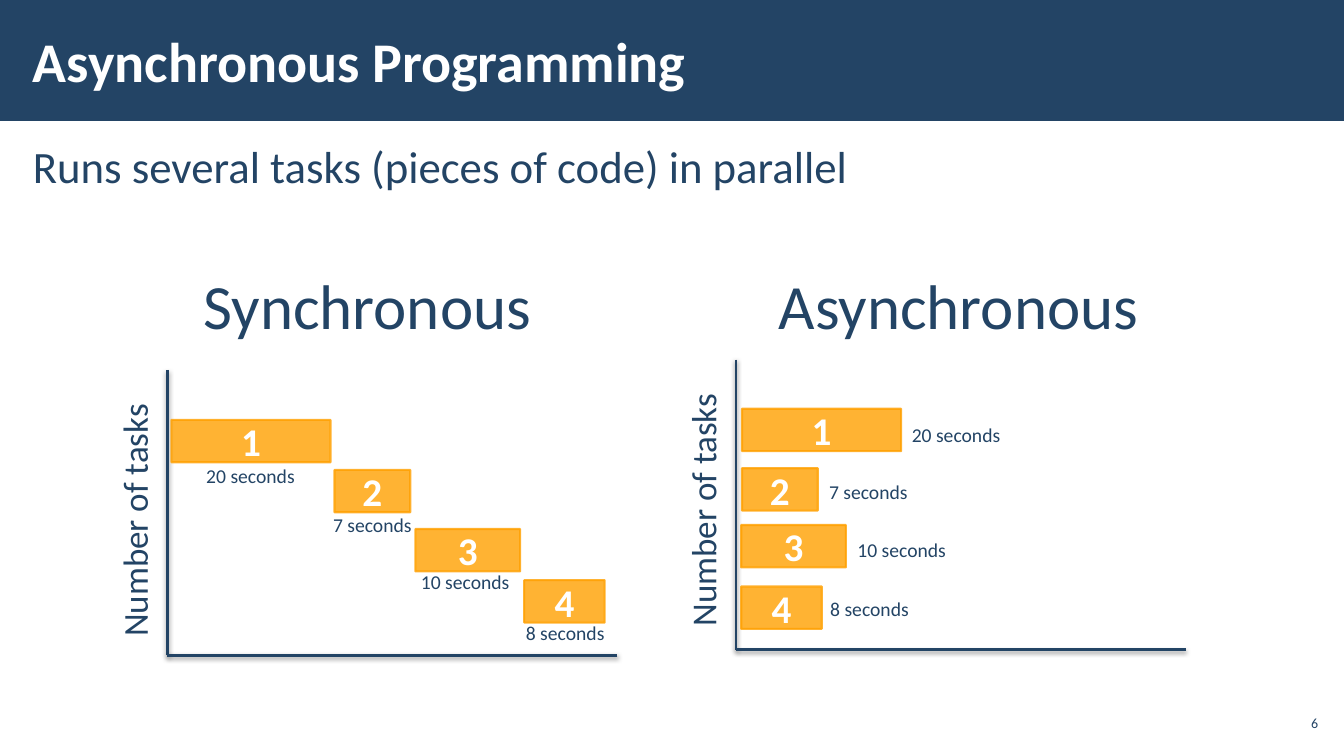
import pptx
import pptx.dml.color
import pptx.enum.shapes
import pptx.enum.text
import pptx.oxml
import pptx.oxml.ns
import pptx.util
from pptx.util import Cm

NAVY, ORANGE, WHITE = "234465", "FFA000", "FFFFFF"
ALIGN = pptx.enum.text.PP_ALIGN
ANCHOR = pptx.enum.text.MSO_ANCHOR

# Task number, duration, bar length
TASKS = [
    ("1", "20 seconds", 4.01),
    ("2", "7 seconds", 1.91),
    ("3", "10 seconds", 2.64),
    ("4", "8 seconds", 2.03),
]
BAR_HEIGHT = 1.07
AXIS_WIDTH = 11.34

# Bar left and top, then label left and top, for each task
SYNCHRONOUS = [
    (4.32, 10.58, 4.83, 11.56),
    (8.43, 11.84, 7.9, 12.8),
    (10.47, 13.33, 10.24, 14.23),
    (13.21, 14.62, 12.76, 15.52),
]
ASYNCHRONOUS = [
    (18.7, 10.3, 22.61, 10.52),
    (18.7, 11.8, 20.4, 11.96),
    (18.68, 13.23, 21.24, 13.44),
    (18.68, 14.78, 20.43, 14.91),
]


def rgb(code):
    return pptx.dml.color.RGBColor.from_string(code)


def write(frame, text, size, color=NAVY, bold=False, align=ALIGN.CENTER):
    frame.word_wrap = True
    para = frame.paragraphs[0]
    para.alignment = align
    span = para.add_run()
    span.text = text
    span.font.name = "Calibri"
    span.font.size = pptx.util.Pt(size)
    span.font.bold = bold
    span.font.color.rgb = rgb(color)


def set_margins(frame, side):
    frame.margin_left = frame.margin_right = Cm(side)
    frame.margin_top = frame.margin_bottom = Cm(0.1)


def add_text(page, place, text, size, align=ALIGN.CENTER):
    box = page.shapes.add_textbox(*map(Cm, place))
    write(box.text_frame, text, size, align=align)
    return box


def add_rectangle(page, place, color):
    box = page.shapes.add_shape(
        pptx.enum.shapes.MSO_SHAPE.RECTANGLE, *map(Cm, place))
    box.shadow.inherit = False
    box.fill.solid()
    box.fill.fore_color.rgb = rgb(color)
    return box


def add_bar(page, place, number):
    bar = add_rectangle(page, place, ORANGE)
    bar.line.color.rgb = rgb(ORANGE)
    bar.line.width = pptx.util.Pt(1.5)
    # Fill and outline are both slightly transparent
    for color in bar.element.spPr.iter(pptx.oxml.ns.qn("a:srgbClr")):
        color.append(pptx.oxml.parse_xml(
            f'<a:alpha {pptx.oxml.ns.nsdecls("a")} val="80000"/>'))
    bar.text_frame.vertical_anchor = ANCHOR.MIDDLE
    write(bar.text_frame, number, 28, WHITE, bold=True)


def add_axis(page, *ends):
    axis = page.shapes.add_connector(
        pptx.enum.shapes.MSO_CONNECTOR.STRAIGHT, *map(Cm, ends))
    axis.line.color.rgb = rgb(NAVY)
    axis.line.width = pptx.util.Pt(2)
    axis.element.spPr.append(pptx.oxml.parse_xml(
        f'<a:effectLst {pptx.oxml.ns.nsdecls("a")}>'
        '<a:outerShdw blurRad="40000" dist="20000" dir="5400000" rotWithShape="0">'
        '<a:srgbClr val="000000"><a:alpha val="38000"/></a:srgbClr>'
        '</a:outerShdw></a:effectLst>'))


def add_axis_label(page, place, text):
    box = add_text(page, place, text, 25)
    # Turn the text to read upwards
    box.element.txBody.bodyPr.set("vert", "vert270")


def add_timeline(page, heading, heading_left, left, top, bottom, places):
    add_axis(page, left, top, left, bottom)
    add_axis(page, left + AXIS_WIDTH, bottom, left, bottom)
    add_text(page, (heading_left, 6.58, 11.23, 2.18), heading, 45)
    # Long enough to hold the label on one line
    add_axis_label(page, (left - 1.5, top + 0.46, 1.57, 6.67), "Number of tasks")
    for (number, duration, length), place in zip(TASKS, places):
        bar_left, bar_top, label_left, label_top = place
        add_bar(page, (bar_left, bar_top, length, BAR_HEIGHT), number)
        add_text(page, (label_left, label_top, 2.97, 0.86), duration, 14)


def add_header(page):
    title = page.shapes.title
    band = add_rectangle(page, (0, 0, 33.87, 3.05), NAVY)
    band.line.fill.background()
    title.element.addprevious(band.element)  # band goes behind the title
    title.left, title.top, title.width, title.height = map(
        Cm, (0.53, 0.28, 26.39, 2.46))
    frame = title.text_frame
    frame.vertical_anchor = ANCHOR.MIDDLE
    set_margins(frame, 0.3)
    write(frame, "Asynchronous Programming", 40, WHITE, True, ALIGN.LEFT)


def main():
    deck = pptx.Presentation()
    deck.slide_width, deck.slide_height = Cm(33.87), Cm(19.05)
    page = deck.slides.add_slide(deck.slide_layouts[5])
    add_header(page)

    # Statement under the header
    statement = add_text(
        page, (0.53, 3.33, 31.6, 14.45),
        "Runs several tasks (pieces of code) in parallel", 32, ALIGN.LEFT)
    set_margins(statement.text_frame, 0.3)
    para = statement.text_frame.paragraphs[0]
    para.line_spacing = 1.05
    para.space_before = para.space_after = pptx.util.Pt(6)

    # The two timelines
    add_timeline(page, "Synchronous", 3.64, 4.22, 9.32, 16.51, SYNCHRONOUS)
    add_timeline(page, "Asynchronous", 18.54, 18.55, 9.06, 16.37, ASYNCHRONOUS)

    # Page number
    number = add_text(page, (32.13, 17.78, 1.19, 0.86), "6", 10, ALIGN.RIGHT)
    number.text_frame.vertical_anchor = ANCHOR.MIDDLE
    set_margins(number.text_frame, 0.1)

    deck.save("out.pptx")


if __name__ == "__main__":
    main()
